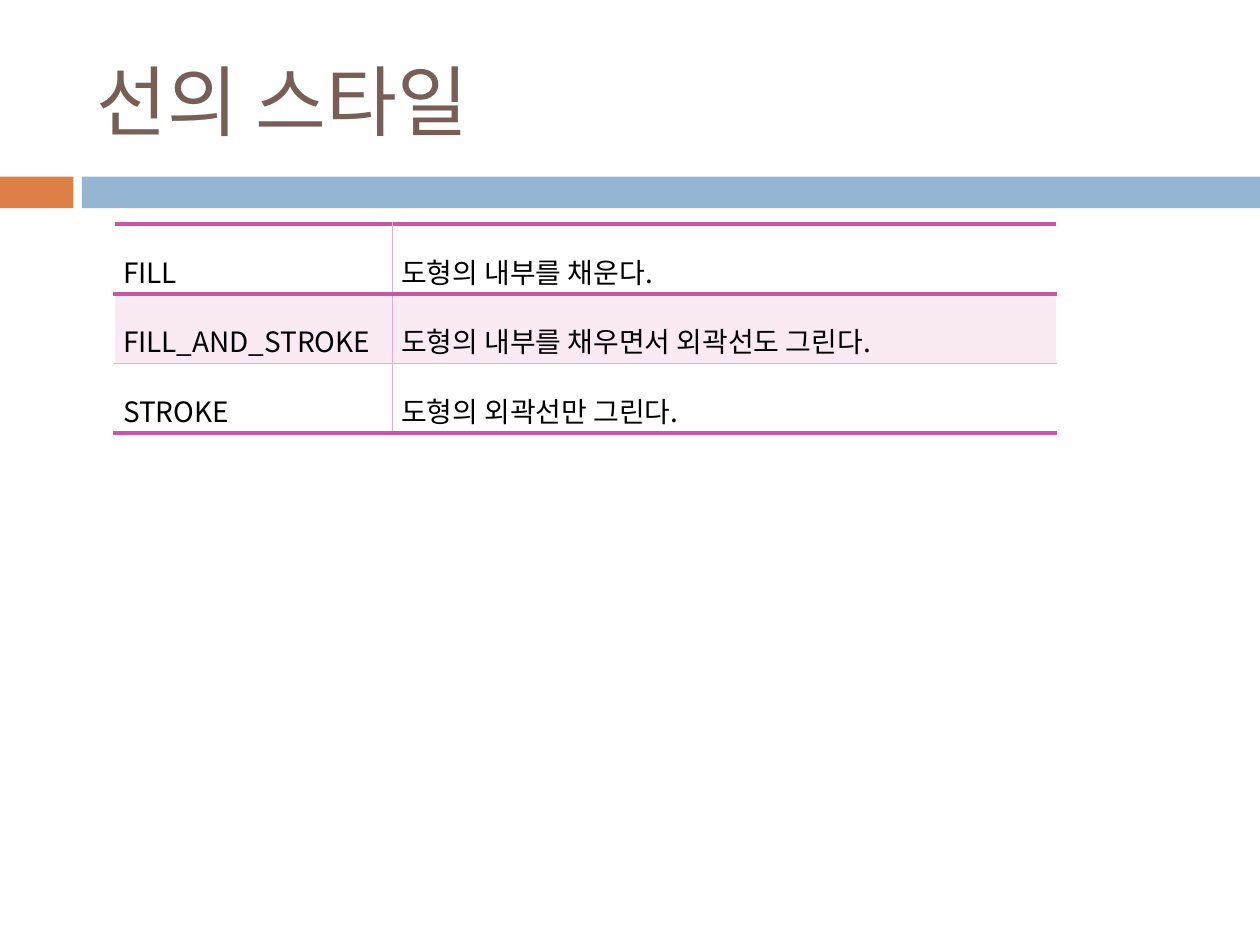
from lxml.etree import SubElement
from pptx import Presentation
from pptx.dml.color import RGBColor
from pptx.enum.shapes import MSO_SHAPE
from pptx.enum.text import MSO_ANCHOR, PP_ALIGN
from pptx.oxml.ns import qn
from pptx.util import Cm, Pt

BROWN = RGBColor(0x77, 0x5F, 0x55)
ORANGE = RGBColor(0xDD, 0x80, 0x47)
BLUE = RGBColor(0x94, 0xB6, 0xD2)
MAGENTA = RGBColor(0xCA, 0x56, 0xA7)
PINK = RGBColor(0xE5, 0xAE, 0xD4)
PALE_PINK = RGBColor(0xF9, 0xEA, 0xF4)
WHITE = RGBColor(0xFF, 0xFF, 0xFF)
BLACK = RGBColor(0, 0, 0)

KOREAN_FONT = "Noto Sans CJK KR"
THICK = (MAGENTA, 2.55)
THIN = (PINK, 0.28)

TITLE_FRAME = {"vertical_anchor": MSO_ANCHOR.MIDDLE, "word_wrap": True}
TITLE_FONT = {"name": "Cabin", "size": Pt(44)}
CELL_FORMAT = {
    "vertical_anchor": MSO_ANCHOR.MIDDLE,
    "margin_left": Cm(0.18), "margin_right": Cm(0.18),
    "margin_top": Cm(0.05), "margin_bottom": Cm(0.05),
}
CELL_PARAGRAPH = {"alignment": PP_ALIGN.JUSTIFY, "line_spacing": 1.6}
CELL_FONT = {"name": KOREAN_FONT, "size": Pt(16)}

STYLES = [
    ("FILL", "도형의 내부를 채운다."),
    ("FILL_AND_STROKE", "도형의 내부를 채우면서 외곽선도 그린다."),
    ("STROKE", "도형의 외곽선만 그린다."),
]


def apply(target, values):
    for name, value in values.items():
        setattr(target, name, value)


def format_run(r, font, color):
    apply(r.font, font)
    r.font.color.rgb = color
    SubElement(r.font._element, qn("a:ea"), typeface=KOREAN_FONT)


def add_title(s, left, top, width, height):
    sp = s.shapes.title
    apply(sp, {"left": left, "top": top, "width": width, "height": height})
    tf = sp.text_frame
    apply(tf, TITLE_FRAME)
    p = tf.paragraphs[0]
    p.alignment = PP_ALIGN.LEFT
    r = p.add_run()
    r.text = "선의 스타일"
    format_run(r, TITLE_FONT, BROWN)


def add_band(s, left, top, width, height):
    accent, gap = Cm(1.48), Cm(0.17)
    start = accent + gap
    for x, w, color in ((0, accent, ORANGE), (start, width - start, BLUE)):
        sp = s.shapes.add_shape(MSO_SHAPE.RECTANGLE, left + x, top, w, height)
        sp.shadow.inherit = False
        sp.fill.solid()
        sp.fill.fore_color.rgb = color
        sp.line.fill.background()


def set_borders(cell, borders):
    tcPr = cell._tc.get_or_add_tcPr()
    for side in "LRTB":
        if side in borders:
            color, width = borders[side]
            ln = SubElement(tcPr, qn(f"a:ln{side}"), w=str(Pt(width)))
            fill = SubElement(ln, qn("a:solidFill"))
            SubElement(fill, qn("a:srgbClr"), val=str(color))


def add_style_table(s, left, top, width, height):
    rows = len(STYLES)
    table = s.shapes.add_table(rows, 2, left, top, width, height).table
    apply(table, {"first_row": False, "horz_banding": False})
    name_width = Cm(5.61)
    table.columns[0].width = name_width
    table.columns[1].width = width - name_width
    rules = [THICK, THICK, THIN, THICK]
    for i, texts in enumerate(STYLES):
        for j, text in enumerate(texts):
            cell = table.cell(i, j)
            apply(cell, CELL_FORMAT)
            set_borders(cell, {"T": rules[i], "B": rules[i + 1], "RL"[j]: THIN})
            cell.fill.solid()
            cell.fill.fore_color.rgb = PALE_PINK if i % 2 else WHITE
            p = cell.text_frame.paragraphs[0]
            apply(p, CELL_PARAGRAPH)
            r = p.add_run()
            r.text = text
            format_run(r, CELL_FONT, BLACK)


def main():
    prs = Presentation()
    apply(prs, {"slide_width": Cm(25.4), "slide_height": Cm(19.05)})
    s = prs.slides.add_slide(prs.slide_layouts[5])
    add_band(s, 0, Cm(3.56), prs.slide_width, Cm(0.64))
    add_title(s, Cm(1.7), Cm(0.64), Cm(22.66), Cm(2.74))
    add_style_table(s, Cm(2.3), Cm(4.52), Cm(19), Cm(3.56))
    prs.save("out.pptx")


if __name__ == "__main__":
    main()
